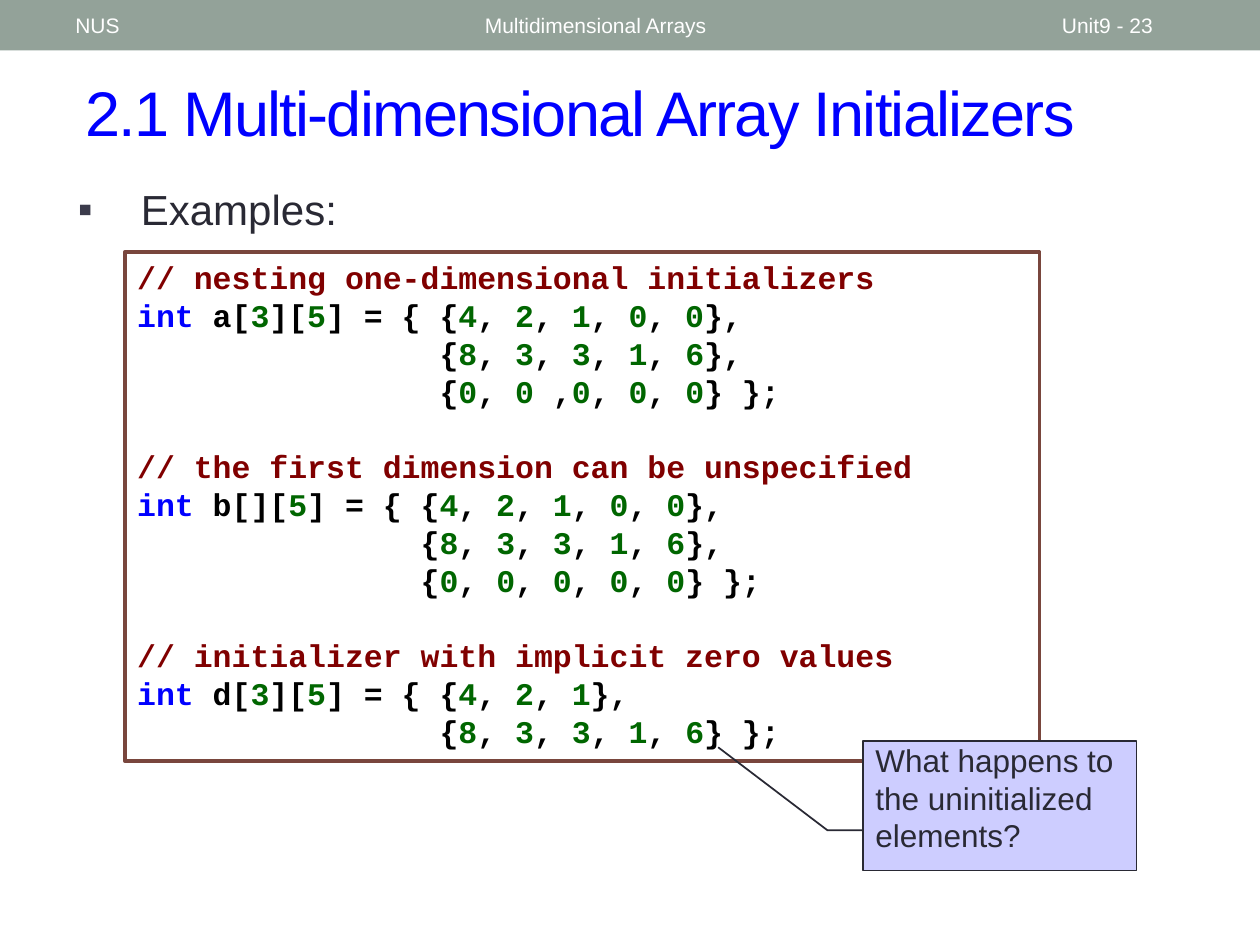
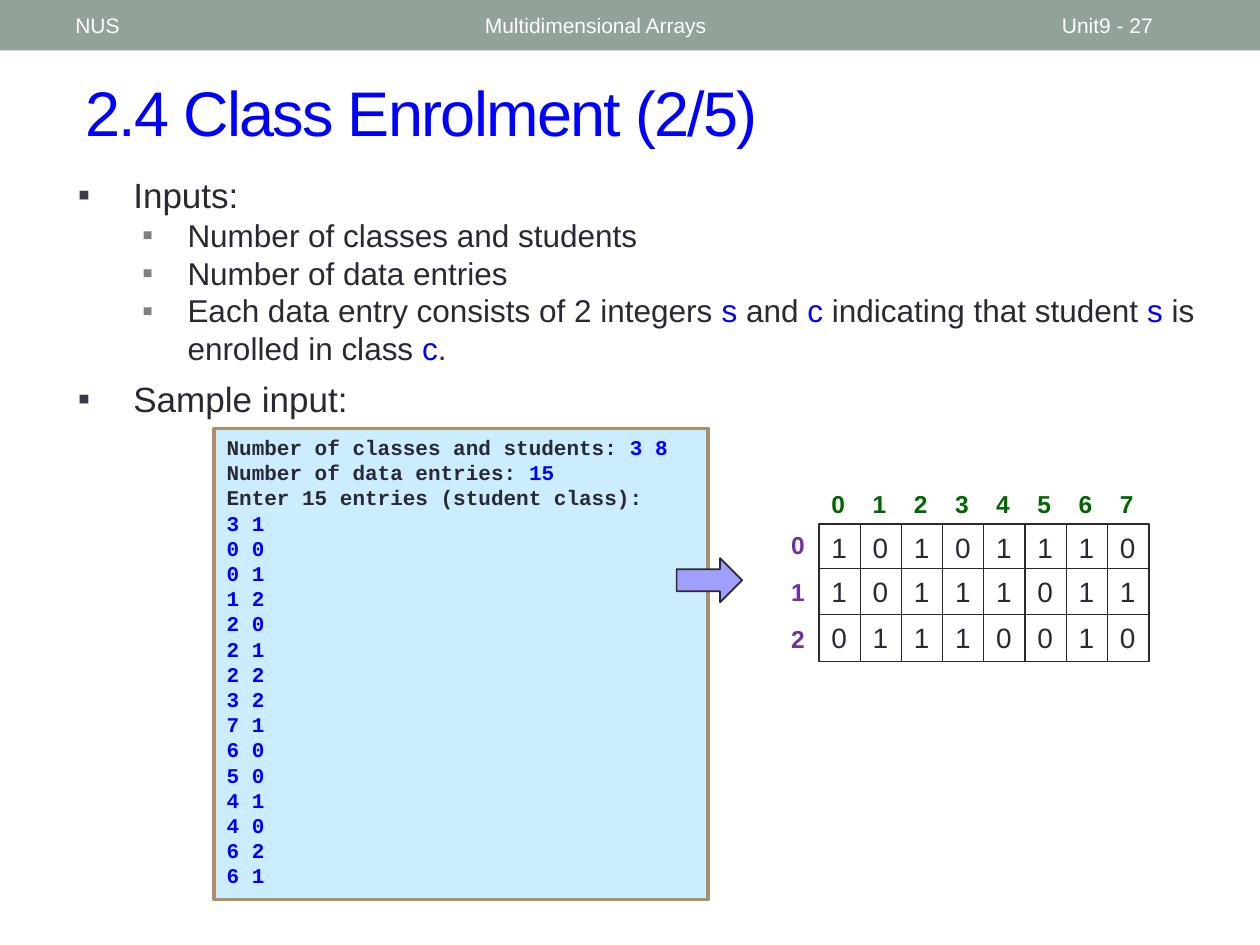
from itertools import groupby
from lxml import etree
from pptx import Presentation
from pptx import util as u
from pptx.dml.color import RGBColor
from pptx.enum import shapes, text
from pptx.oxml.ns import qn

HUES = dict(
    band="93A299", white="FFFFFF", blue="0000FF", dark="292934",
    mark="3B3B4B", gray="808080", black="000000", green="006600",
    red="800000", brown="79463D", note="CDCDFF", sky="CCECFF",
    tan="AD8F67", arrow="9F9FFF", plum="7030A0",
)
SANS, MONO = "Arial", "Courier New"

HEADS = [(3.75, 4.5, "Multidimensional Arrays"),
         (8.33, 1.17, "Unit9 - {}"),
         (0.5, 3.17, "NUS")]
CODE = """// nesting one-dimensional initializers
int a[3][5] = { {4, 2, 1, 0, 0},
                {8, 3, 3, 1, 6},
                {0, 0 ,0, 0, 0} };
// the first dimension can be unspecified
int b[][5] = { {4, 2, 1, 0, 0},
               {8, 3, 3, 1, 6},
               {0, 0, 0, 0, 0} };
// initializer with implicit zero values
int d[3][5] = { {4, 2, 1},
                {8, 3, 3, 1, 6} };"""
NOTE = "What happens to the uninitialized elements?"
BENDS = [0.69, 0, 0.69, -0.13, 0.05, -0.53]
INPUTS = [
    (0, "Inputs:"),
    (1, "Number of classes and students"),
    (1, "Number of data entries"),
    (1, "Each data entry consists of 2 integers |s| and |c| indicating that "
        "student |s| is enrolled in class |c|."),
    (0, "Sample input:"),
]
ASKS = [
    "Number of classes and students: |3 8",
    "Number of data entries: |15",
    "Enter 15 entries (student class):",
]
PAIRS = ["3 1", "0 0", "0 1", "1 2", "2 0", "2 1", "2 2", "3 2",
         "7 1", "6 0", "5 0", "4 1", "4 0", "6 2", "6 1"]
GRID = ["10101110", "10111011", "01110010"]
TOPS = [4.16, 4.51, 4.88]
LEFT, STEP, WIDE, HIGH = 6.5, 2.29 / 7, 0.33, 0.37


def rgb(hue):
    return RGBColor.from_string(HUES[hue])


def split(line):
    parts = enumerate(line.split("|"))
    return [(part, "blue" if i % 2 else "dark") for i, part in parts if part]


def lex(line):
    if line.startswith("//"):
        return [(line, "red")]
    runs = []
    if line.startswith("int"):
        runs, line = [("int", "blue")], line[3:]
    for digit, part in groupby(line, str.isdigit):
        runs.append(("".join(part), "green" if digit else "black"))
    return runs


def write(para, runs, size, face=SANS, bold=False):
    font = para.font
    font.name, font.size, font.bold = face, u.Pt(size), bold
    same = len({hue for _, hue in runs}) == 1
    if same:
        font.color.rgb = rgb(runs[0][1])
    for part, hue in runs:
        run = para.add_run()
        run.text = part
        if not same:
            run.font.color.rgb = rgb(hue)


def lines(frame, count=1):
    frame.word_wrap = True
    paras = [frame.paragraphs[0]] + [frame.add_paragraph() for _ in range(count - 1)]
    for para in paras:
        para.alignment = text.PP_ALIGN.LEFT
    return paras


def label(slide, at, words, size, hue, bold=False):
    frame = slide.shapes.add_textbox(*map(u.Inches, at)).text_frame
    para = lines(frame)[0]
    write(para, [(words, hue)], size, bold=bold)
    return frame


def title(slide, words):
    frame = label(slide, (0.58, 0.42, 9.17, 0.92), words, 36, "blue")
    frame.vertical_anchor = text.MSO_ANCHOR.MIDDLE
    frame.paragraphs[0].runs[0]._r.get_or_add_rPr().set("spc", "-100")


def block(slide, kind, at, fill, edge=None, width=1):
    shape = slide.shapes.add_shape(kind, *map(u.Inches, at))
    shape.shadow.inherit = False
    shape.fill.solid()
    shape.fill.fore_color.rgb = rgb(fill)
    if edge:
        shape.line.color.rgb = rgb(edge)
        shape.line.width = u.Pt(width)
    else:
        shape.line.fill.background()
    shape.text_frame.vertical_anchor = text.MSO_ANCHOR.TOP
    return shape


def listing(slide, at, fill, edge, rows, size):
    shape = block(slide, shapes.MSO_SHAPE.RECTANGLE, at, fill, edge, 2.08)
    paras = lines(shape.text_frame, len(rows))
    for para, runs in zip(paras, rows):
        write(para, runs, size, MONO, True)
    return paras


def bullet(para, left, hang, hue):
    props = para._p.get_or_add_pPr()
    props.set("marL", str(u.Inches(left)))
    props.set("indent", str(-u.Inches(hang)))
    color = etree.SubElement(props, qn("a:buClr"))
    etree.SubElement(color, qn("a:srgbClr"), val=HUES[hue])
    etree.SubElement(props, qn("a:buFont"), typeface=SANS)
    etree.SubElement(props, qn("a:buChar"), char="▪")


def start(deck, words, page):
    slide = deck.slides.add_slide(deck.slide_layouts[6])
    block(slide, shapes.MSO_SHAPE.RECTANGLE, (0, 0, 10, 0.4), "band")
    title(slide, words)
    for left, width, head in HEADS:
        frame = label(slide, (left, 0.02, width, 0.36), head.format(page),
                      12, "white")
        frame.vertical_anchor = text.MSO_ANCHOR.MIDDLE
    return slide


def matrix(slide):
    for top, row in zip(TOPS, GRID):
        for c, digit in enumerate(row):
            cell = block(slide, shapes.MSO_SHAPE.RECTANGLE,
                         (LEFT + c * STEP, top, WIDE, HIGH),
                         "white", "dark", 0.75)
            write(lines(cell.text_frame)[0], [(digit, "dark")], 16)
    for r, top in enumerate(TOPS):
        spot = (LEFT - 0.32, top + (0.02 if r else 0), WIDE, 0.34)
        label(slide, spot, str(r), 14, "plum", True)
    for c in range(len(GRID[0])):
        spot = (LEFT + c * STEP, 3.83, WIDE, 0.34)
        label(slide, spot, str(c), 14, "green", True)


def arrays(deck):
    slide = start(deck, "2.1 Multi-dimensional Array Initializers", 23)
    body = slide.shapes.add_textbox(*map(u.Inches, (0.52, 1.41, 8.69, 0.55)))
    para = lines(body.text_frame)[0]
    bullet(para, 0.5, 0.5, "mark")
    write(para, [("Examples:", "dark")], 24)
    rows = CODE.split("\n")
    paras = listing(slide, (0.99, 2, 7.26, 4.04), "white", "brown",
                    [lex(row) for row in rows], 18)
    for para, row in list(zip(paras, rows))[1:]:
        if row.startswith("//"):
            para.space_before = u.Pt(21.6)
    note = block(slide, shapes.MSO_SHAPE.LINE_CALLOUT_2,
                 (6.85, 5.88, 2.17, 1.03), "note", "dark")
    for i, bend in enumerate(BENDS):
        note.adjustments[i] = bend
    note.text_frame.margin_top = 0
    write(lines(note.text_frame)[0], [(NOTE, "dark")], 18)


def classes(deck):
    slide = start(deck, "2.4 Class Enrolment (2/5)", 27)
    body = slide.shapes.add_textbox(*map(u.Inches, (0.52, 1.33, 9.23, 2.2)))
    paras = lines(body.text_frame, len(INPUTS))
    for i, (para, (level, line)) in enumerate(zip(paras, INPUTS)):
        if level:
            para.level = level
            bullet(para, 0.87, 0.36, "gray")
        else:
            bullet(para, 0.44, 0.44, "mark")
            if i:
                para.space_before = u.Pt(6)
        write(para, split(line), 18 if level else 20)
    rows = ASKS + ["|" + pair for pair in PAIRS]
    listing(slide, (1.7, 3.4, 3.92, 3.74), "sky", "tan",
            [split(row) for row in rows], 12)
    block(slide, shapes.MSO_SHAPE.RIGHT_ARROW, (5.37, 4.43, 0.52, 0.35),
          "arrow", "dark")
    matrix(slide)


def main():
    deck = Presentation()
    deck.slide_width, deck.slide_height = u.Inches(10), u.Inches(7.5)
    arrays(deck)
    classes(deck)
    deck.save("out.pptx")


if __name__ == "__main__":
    main()
